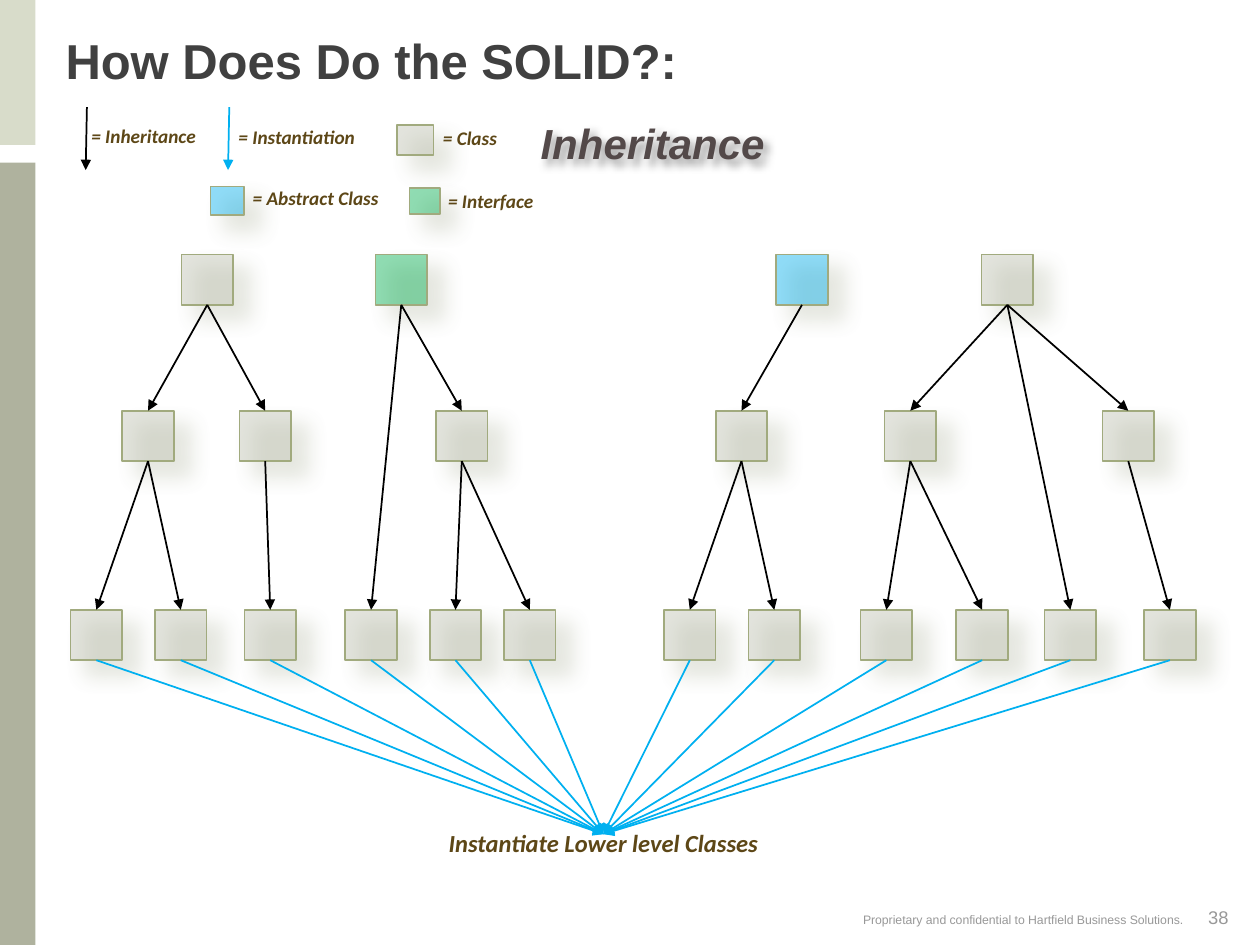
from lxml import etree
from pptx import Presentation, util as u
from pptx.dml.color import RGBColor
from pptx.enum import shapes, text
from pptx.oxml import ns

BLACK = RGBColor(0x00, 0x00, 0x00)
BLUE = RGBColor(0x00, 0xB0, 0xF0)
GREEN = RGBColor(0x00, 0xB0, 0x50)
GRAY = RGBColor(0xBF, 0xC2, 0xB2)
OLIVE = RGBColor(0xA1, 0xAA, 0x7E)
SHADOW = RGBColor(0x6E, 0x77, 0x4E)
PALE_BAR = RGBColor(0xCC, 0xD1, 0xB9)
DARK_BAR = RGBColor(0x95, 0x99, 0x7E)
TITLE = RGBColor(0x40, 0x40, 0x40)
HEADING = RGBColor(0x53, 0x49, 0x49)
LABEL = RGBColor(0x5D, 0x47, 0x17)
MUTED = RGBColor(0x98, 0x98, 0x98)

LEFT, CENTER, RIGHT = text.PP_ALIGN.LEFT, text.PP_ALIGN.CENTER, text.PP_ALIGN.RIGHT
NODE_SIZE = (0.41, 0.4)
ROW_TOPS = (2.02, 3.26, 4.84)
TOP, BOTTOM = 0, 2

BARS = [(-0.01, 0, 0.29, 1.15, PALE_BAR), (-0.01, 1.29, 0.29, 6.22, DARK_BAR)]

TREES = [
    (1.44, 0, GRAY, [
        (0.97, 1, GRAY, [(0.56, 2, GRAY, []), (1.23, 2, GRAY, [])]),
        (1.9, 1, GRAY, [(1.94, 2, GRAY, [])]),
    ]),
    (2.98, 0, GREEN, [
        (2.74, 2, GRAY, []),
        (3.46, 1, GRAY, [(3.41, 2, GRAY, []), (4, 2, GRAY, [])]),
    ]),
    (6.16, 0, BLUE, [
        (5.68, 1, GRAY, [(5.27, 2, GRAY, []), (5.94, 2, GRAY, [])]),
    ]),
    (7.79, 0, GRAY, [
        (7.02, 1, GRAY, [(6.83, 2, GRAY, []), (7.59, 2, GRAY, [])]),
        (8.29, 2, GRAY, []),
        (8.75, 1, GRAY, [(9.08, 2, GRAY, [])]),
    ]),
]

LEGEND_ARROWS = [(0.69, BLACK), (1.82, BLUE)]
LEGEND_BOXES = [
    (3.15, 0.99, 0.29, 0.24, GRAY),
    (1.67, 1.48, 0.27, 0.23, BLUE),
    (3.25, 1.49, 0.24, 0.21, GREEN),
]
LEGEND_LABELS = [
    ("= Inheritance", 0.62, 0.98, 1.04),
    ("= Instantiation", 1.78, 0.99, 1.15),
    ("= Class", 3.41, 1, 0.64),
    ("= Abstract Class", 1.9, 1.47, 1.21),
    ("= Interface", 3.45, 1.5, 0.89),
]


def inches(values):
    return [u.Inches(value) for value in values]


def set_alpha(shape, percent):
    color = shape.fill._xPr.find(".//" + ns.qn("a:srgbClr"))
    etree.SubElement(color, ns.qn("a:alpha"), val=str(percent * 1000))


def add_shadow(shape, color, alpha, blur, distance, angle):
    shape.shadow.inherit = False
    effects = shape._element.spPr.find(ns.qn("a:effectLst"))
    outer = etree.SubElement(
        effects, ns.qn("a:outerShdw"), blurRad=str(u.Pt(blur)), dist=str(u.Pt(distance)),
        dir=str(angle * 60000), algn="tl", rotWithShape="0")
    fill = etree.SubElement(outer, ns.qn("a:srgbClr"), val=str(color))
    etree.SubElement(fill, ns.qn("a:alpha"), val=str(alpha * 1000))


def add_rectangle(slide, box, color, alpha):
    shape = slide.shapes.add_shape(shapes.MSO_SHAPE.RECTANGLE, *inches(box))
    shape.shadow.inherit = False
    shape.fill.solid()
    shape.fill.fore_color.rgb = color
    set_alpha(shape, alpha)
    shape.line.fill.background()
    return shape


def add_class_box(slide, box, color):
    shape = add_rectangle(slide, box, color, 43)
    shape.line.color.rgb = OLIVE
    shape.line.width = u.Pt(1)
    add_shadow(shape, SHADOW, 38, 12, 12, 43)
    return shape


def add_arrow(slide, color, points=(0, 0, 0, 0), start=None, end=None):
    arrow = slide.shapes.add_connector(shapes.MSO_CONNECTOR.STRAIGHT, *inches(points))
    if start is not None:
        arrow.begin_connect(start, BOTTOM)
        arrow.end_connect(end, TOP)
    arrow.line.color.rgb = color
    arrow.line.width = u.Pt(1)
    etree.SubElement(arrow.line._get_or_add_ln(), ns.qn("a:tailEnd"), type="triangle")
    etree.SubElement(arrow._element.spPr, ns.qn("a:effectLst"))


def write(shape, words, size, name, color, align=LEFT, **style):
    frame = shape.text_frame
    frame.auto_size = text.MSO_AUTO_SIZE.NONE
    frame.text = words
    paragraph = frame.paragraphs[0]
    paragraph.alignment = align
    paragraph.space_before = u.Pt(0)
    font = paragraph.runs[0].font
    font.color.rgb = color
    for key, value in dict(size=u.Pt(size), name=name, **style).items():
        setattr(font, key, value)
    return paragraph


def place(shape, box):
    for key, value in zip(("left", "top", "width", "height"), inches(box)):
        setattr(shape, key, value)


def add_label(slide, words, box, size):
    shape = slide.shapes.add_textbox(*inches(box))
    shape.text_frame.word_wrap = False
    paragraph = write(shape, words, size, "Calibri", LABEL, CENTER, bold=True, italic=True)
    paragraph.line_spacing = u.Pt(10)
    return shape


def add_tree(slide, tree, edges, leaves):
    left, row, color, children = tree
    node = add_class_box(slide, (left, ROW_TOPS[row], *NODE_SIZE), color)
    for child in children:
        edges.append((node, add_tree(slide, child, edges, leaves)))
    if not children:
        leaves.append(node)
    return node


def main():
    presentation = Presentation()
    presentation.slide_width, presentation.slide_height = inches((10, 7.5))
    slide = presentation.slides.add_slide(presentation.slide_layouts[1])

    for *box, color in BARS:
        add_rectangle(slide, box, color, 75)

    title, heading = slide.placeholders
    place(title, (0.42, 0.1, 9.23, 0.75))
    title.text_frame.vertical_anchor = text.MSO_ANCHOR.MIDDLE
    write(title, "How Does Do the SOLID?:", 28, "Arial", TITLE, bold=True)

    place(heading, (0.56, 0.88, 9.24, 0.44))
    paragraph = write(heading, "Inheritance", 24, "Arial", HEADING, CENTER, bold=True, italic=True)
    properties = paragraph._p.get_or_add_pPr()
    properties.set("marL", "0")
    properties.set("indent", "0")
    etree.SubElement(properties, ns.qn("a:buNone"))
    add_shadow(heading, BLACK, 40, 4, 3, 45)

    for words, box, size, align in [
        ("38", (9.49, 7.14, 0.51, 0.34), 10.5, LEFT),
        ("Proprietary and confidential to Hartfield Business Solutions.",
         (5.63, 7.19, 3.86, 0.31), 7, RIGHT),
    ]:
        footer = slide.shapes.add_textbox(*inches(box))
        footer.text_frame.word_wrap = True
        write(footer, words, size, "Arial", MUTED, align)

    edges, leaves = [], []
    for tree in TREES:
        add_tree(slide, tree, edges, leaves)
    for parent, child in edges:
        add_arrow(slide, BLACK, start=parent, end=child)

    target = add_label(slide, "Instantiate Lower level Classes", (3.45, 6.62, 2.68, 0.24), 14)
    for leaf in leaves:
        add_arrow(slide, BLUE, start=leaf, end=target)

    for x, color in LEGEND_ARROWS:
        add_arrow(slide, color, (x, 0.85, x - 0.01, 1.35))
    for *box, color in LEGEND_BOXES:
        add_class_box(slide, box, color)
    for words, left, top, width in LEGEND_LABELS:
        add_label(slide, words, (left, top, width, 0.25), 11)

    presentation.save("out.pptx")


if __name__ == "__main__":
    main()
